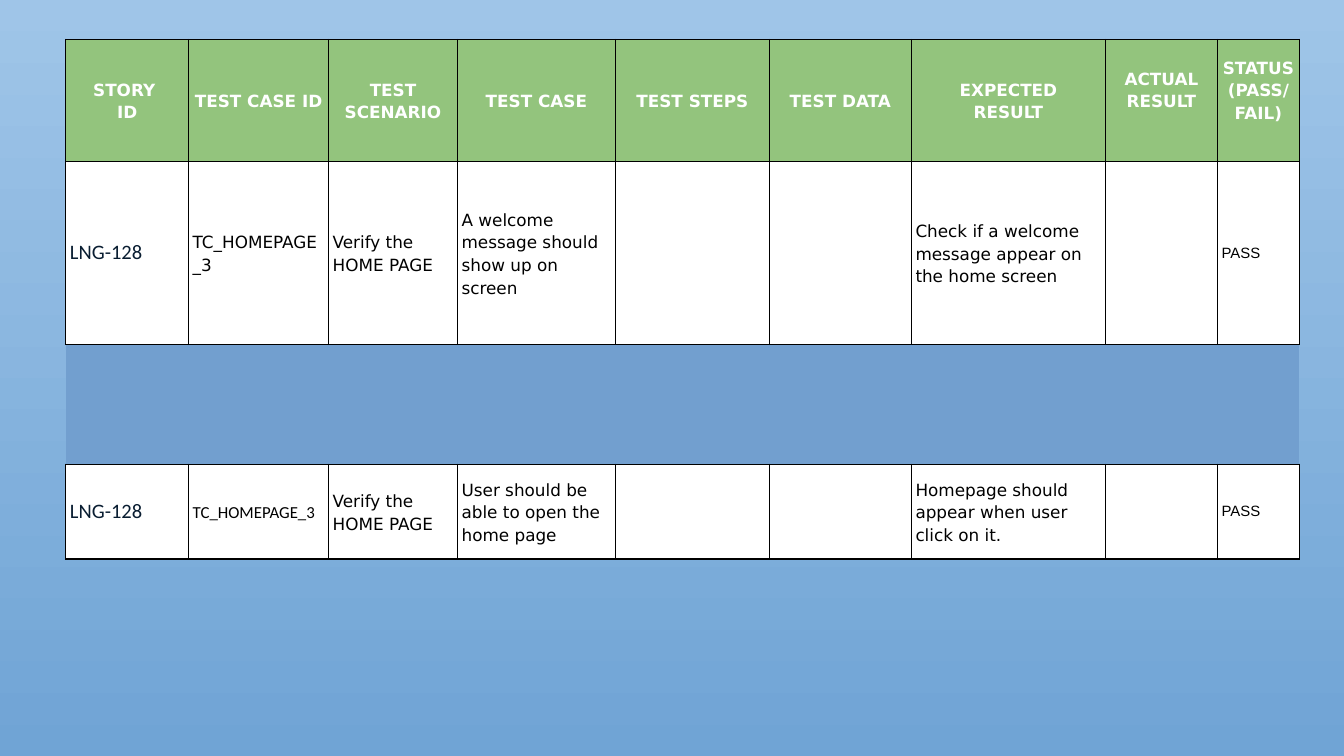
from lxml.etree import SubElement
from pptx import Presentation
from pptx.dml.color import RGBColor
from pptx.enum.text import MSO_ANCHOR as Anchor, PP_ALIGN as Align
from pptx.oxml.ns import qn
from pptx.util import Pt


def write(cell, text, font="DejaVu Sans", size=9, color="000000", bold=False,
          align=Align.LEFT, spacing=1.15, bottom=7.2):
    cell.vertical_anchor = Anchor.MIDDLE
    cell.margin_left = cell.margin_right = Pt(2.25)
    cell.margin_top = Pt(7.2)
    cell.margin_bottom = Pt(bottom)
    for index, line in enumerate(text.split("\n")):
        frame = cell.text_frame
        para = frame.add_paragraph() if index else frame.paragraphs[0]
        para.alignment = align
        para.line_spacing = spacing
        span = para.add_run()
        span.text = line
        span.font.name = font
        span.font.size = Pt(size)
        span.font.bold = bold
        span.font.color.rgb = RGBColor.from_string(color)


def paint(cell, color):
    props = cell._tc.get_or_add_tcPr()
    for side in ("lnL", "lnR", "lnT", "lnB"):
        line = SubElement(props, qn(f"a:{side}"), w=str(Pt(0.75)))
        solid = SubElement(line, qn("a:solidFill"))
        SubElement(solid, qn("a:srgbClr"), val="000000")
    cell.fill.solid()
    cell.fill.fore_color.rgb = RGBColor.from_string(color)


deck = Presentation()
deck.slide_width = Pt(720)
deck.slide_height = Pt(405)
page = deck.slides.add_slide(deck.slide_layouts[6])

backdrop = page.background.fill
backdrop.gradient()
backdrop.gradient_angle = 270
for stop, color in zip(backdrop.gradient_stops, ("9FC5E8", "70A4D5")):
    stop.color.rgb = RGBColor.from_string(color)

headings = ["STORY \nID", "TEST CASE ID", "TEST SCENARIO", "TEST CASE", "TEST STEPS",
            "TEST DATA", "EXPECTED\nRESULT", "ACTUAL\nRESULT", "STATUS (PASS/\nFAIL)"]
cases = {
    1: ["LNG-128", "TC_HOMEPAGE_3", "Verify the HOME PAGE",
        "A welcome message should show up on screen", "", "",
        "Check if a welcome message appear on the home screen", "", "PASS"],
    4: ["LNG-128", "TC_HOMEPAGE_3", "Verify the HOME PAGE",
        "User should be able to open the home page", "", "",
        "Homepage should appear when user click on it.", "", "PASS"],
}
story_format = dict(font="Calibri", size=11, color="091D31", spacing=1)
status_format = dict(font="Arial", size=8, spacing=1)
formats = {(1, 0): story_format, (4, 0): story_format, (4, 1): dict(font="Calibri"),
           (1, 8): status_format, (4, 8): status_format}

widths = [65.8, 75, 69.1, 84.6, 82.5, 76.1, 104, 60, 43.9]
heights = [65.4, 46.2, 25.9, 25.9, 37, 25.9, 25.9]
holder = page.shapes.add_table(len(heights), len(widths), Pt(35.2), Pt(21.1),
                               Pt(236), Pt(236))
table = holder.table
table.first_row = False
table.horz_banding = False
for column, width in zip(table.columns, widths):
    column.width = Pt(width)
for row, height in zip(table.rows, heights):
    row.height = Pt(height)
holder.width = holder.height = Pt(236)

for column, heading in enumerate(headings):
    cell = table.cell(0, column)
    write(cell, heading, color="FFFFFF", bold=True, align=Align.CENTER,
          bottom=19 if column > 6 else 7.2)
    paint(cell, "93C47D")

for row, values in cases.items():
    for column, value in enumerate(values):
        cell = table.cell(row, column)
        cell.merge(table.cell(row + 2, column))
        if value:
            write(cell, value, **formats.get((row, column), {}))
        paint(cell, "FFFFFF")

deck.save("out.pptx")
